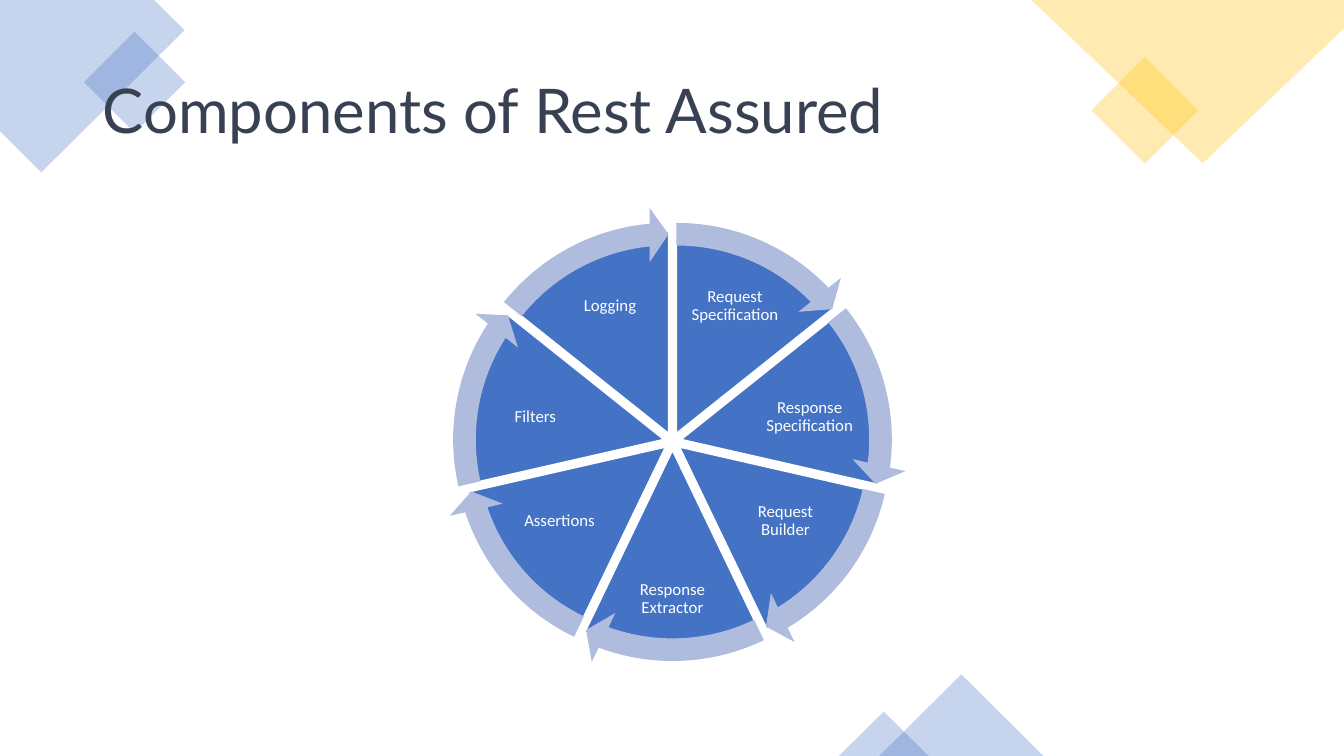
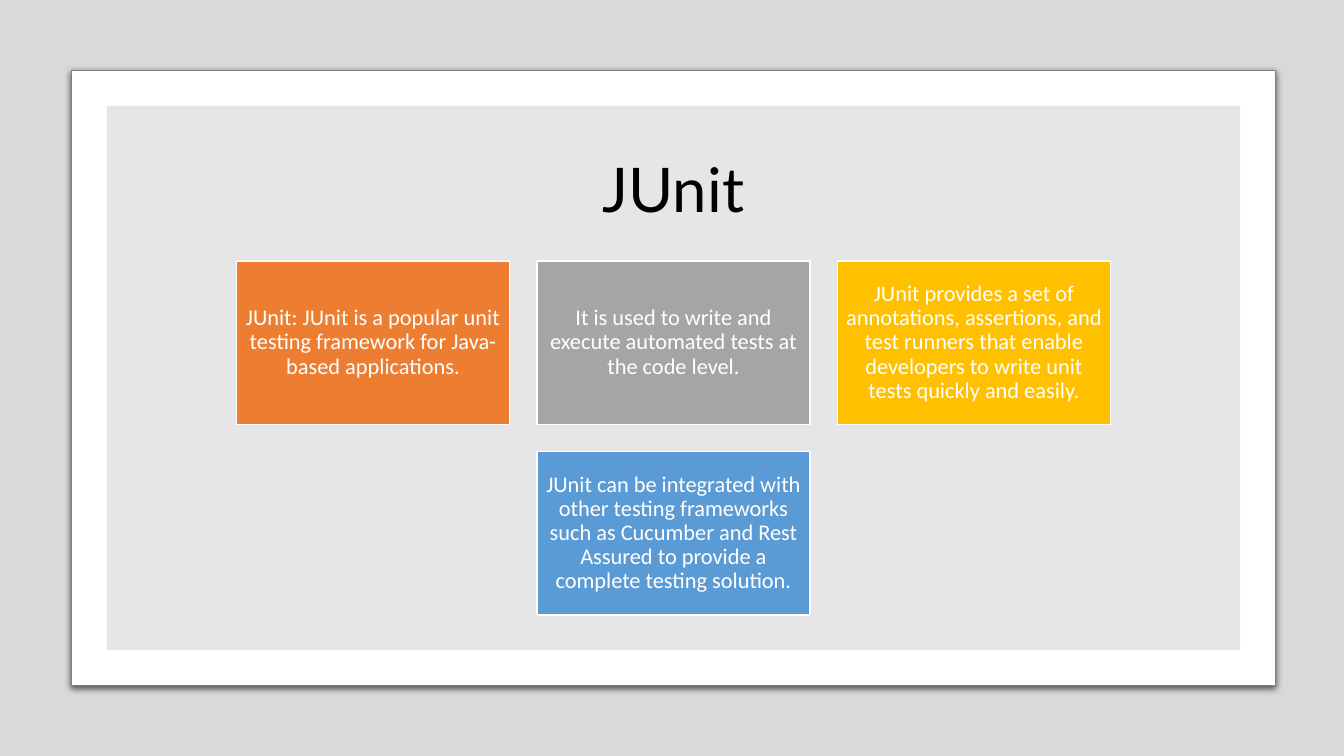
from math import cos, radians, sin

from lxml import etree
from pptx import Presentation
from pptx import util as u
from pptx.dml.color import RGBColor
from pptx.enum import shapes, text
from pptx.oxml import ns

SHAPE = shapes.MSO_SHAPE
ALIGN = text.PP_ALIGN

WHITE = RGBColor(0xFF, 0xFF, 0xFF)
BLACK = RGBColor(0x00, 0x00, 0x00)
SLATE = RGBColor(0x37, 0x41, 0x51)
BLUE = RGBColor(0x44, 0x72, 0xC4)
PALE_BLUE = RGBColor(0xB0, 0xBC, 0xDE)
SKY = RGBColor(0x5B, 0x9B, 0xD5)
GOLD = RGBColor(0xFF, 0xC0, 0x00)
ORANGE = RGBColor(0xED, 0x7D, 0x31)
GRAY = RGBColor(0xA5, 0xA5, 0xA5)
LIGHT_GRAY = RGBColor(0xE7, 0xE6, 0xE6)
EDGE_GRAY = RGBColor(0x80, 0x80, 0x80)

TITLE_FONT = "Lato"
BODY_FONT = "Calibri"
TITLE_SIZE = 44
ANGLE_UNIT = 0.6
FULL_TURN = 360 * ANGLE_UNIT


class Deck:
    def __init__(self):
        self.prs = Presentation()
        self.prs.slide_width = u.Inches(13.33)
        self.prs.slide_height = u.Inches(7.5)
        self.slide = None

    def new_slide(self):
        self.slide = self.prs.slides.add_slide(self.prs.slide_layouts[6])

    def paint(self, shape, fill, opacity=100, line=None, line_width=1):
        shape.shadow.inherit = False
        shape.fill.solid()
        shape.fill.fore_color.rgb = fill
        if opacity < 100:
            color = shape._element.spPr.find(ns.qn("a:solidFill"))[0]
            etree.SubElement(color, ns.qn("a:alpha"), val=str(opacity * 1000))
        if line is None:
            shape.line.fill.background()
        else:
            shape.line.color.rgb = line
            shape.line.width = u.Pt(line_width)
        return shape

    def block(self, kind, box, fill, adjustments=(), rotation=0, **style):
        shape = self.slide.shapes.add_shape(kind, *map(u.Inches, box))
        for i, value in enumerate(adjustments):
            shape.adjustments[i] = value
        shape.rotation = rotation
        return self.paint(shape, fill, **style)

    def polygon(self, points, fill, **style):
        start, *rest = [(u.Inches(x), u.Inches(y)) for x, y in points]
        builder = self.slide.shapes.build_freeform(*start)
        builder.add_line_segments(rest, close=True)
        return self.paint(builder.convert_to_shape(), fill, **style)

    def set_text(self, shape, words, size, color=WHITE, font=BODY_FONT,
                 align=ALIGN.CENTER, inset=None):
        frame = shape.text_frame
        frame.word_wrap = True
        frame.vertical_anchor = text.MSO_ANCHOR.MIDDLE
        if inset is not None:
            frame.margin_left = frame.margin_right = u.Inches(inset)
            frame.margin_top = frame.margin_bottom = u.Inches(inset)
        paragraph = frame.paragraphs[0]
        paragraph.text = words
        paragraph.alignment = align
        paragraph.line_spacing = 0.9
        paragraph.font.size = u.Pt(size)
        paragraph.font.name = font
        paragraph.font.color.rgb = color

    def label(self, box, words, size, **style):
        textbox = self.slide.shapes.add_textbox(*map(u.Inches, box))
        self.set_text(textbox, words, size, **style)

    def title(self, box, words, color, align):
        self.label(box, words, TITLE_SIZE, color=color, font=TITLE_FONT, align=align)

    def soft_shadow(self, shape):
        effects = shape._element.spPr.find(ns.qn("a:effectLst"))
        shadow = etree.SubElement(
            effects, ns.qn("a:outerShdw"), blurRad=str(u.Pt(4.5)),
            dist=str(u.Pt(1.5)), dir="5400000", algn="t", rotWithShape="0")
        color = etree.SubElement(shadow, ns.qn("a:srgbClr"), val=str(BLACK))
        etree.SubElement(color, ns.qn("a:alpha"), val="63000")


def corner_decor(deck):
    deck.polygon([(1.53, 0), (0, 0), (0, 1.3), (0.41, 1.71), (1.83, 0.3)],
                 BLUE, opacity=30)
    deck.block(SHAPE.RECTANGLE, (0.98, 0.46, 0.71, 0.71), BLUE,
               rotation=315, opacity=30)
    deck.block(SHAPE.RECTANGLE, (10.98, 0.72, 0.75, 0.75), GOLD,
               rotation=315, opacity=30)
    deck.polygon([(13.33, 0), (10.23, 0), (11.93, 1.62), (13.33, 0.28)],
                 GOLD, opacity=30)
    for peak in ((8.72, 6.69, 1.63, 0.81), (8.32, 7.06, 0.89, 0.44)):
        deck.block(SHAPE.ISOSCELES_TRIANGLE, peak, BLUE, opacity=30)


def components_slide(deck):
    deck.new_slide()
    corner_decor(deck)
    deck.title((0.92, 0.4, 11.5, 1.45), "Components of Rest Assured",
               SLATE, ALIGN.LEFT)

    center_x, center_y, spread = 6.67, 4.38, 0.09
    wedge_size, arrow_size = 4, 4.49
    head_angle = 3.28
    components = [
        ("Request Specification", 0.62, 2.66, 0.95, 0.76),
        ("Response Specification", 1.36, 3.8, 1.09, 0.67),
        ("Request Builder", 1.12, 4.8, 0.95, 0.74),
        ("Response Extractor", 0, 5.61, 0.93, 0.67),
        ("Assertions", -1.12, 4.8, 0.95, 0.74),
        ("Filters", -1.36, 3.8, 1.09, 0.67),
        ("Logging", -0.62, 2.66, 0.95, 0.76),
    ]
    step = 360 / len(components)

    def ring_box(i, size):
        middle = radians(-90 + (i + 0.5) * step)
        return (center_x + spread * cos(middle) - size / 2,
                center_y + spread * sin(middle) - size / 2, size, size)

    def turn(i):
        return (270 + i * step) * ANGLE_UNIT % FULL_TURN

    for i, (name, offset, top, width, height) in enumerate(components):
        deck.block(SHAPE.PIE, ring_box(i, wedge_size), BLUE,
                   (turn(i), turn(i + 1)), line=WHITE)
        deck.label((center_x + offset - width / 2, top, width, height),
                   name, 12, inset=0.02)

    for i in range(len(components)):
        arrow_end = (turn(i + 1) - head_angle) % FULL_TURN
        deck.block(SHAPE.CIRCULAR_ARROW, ring_box(i, arrow_size), PALE_BLUE,
                   (0.05, head_angle, arrow_end, turn(i), 0.06))


def junit_slide(deck):
    deck.new_slide()
    deck.block(SHAPE.RECTANGLE, (0, 0, 13.33, 7.5), BLACK, opacity=15)
    frame = deck.block(SHAPE.ROUNDED_RECTANGLE, (0.71, 0.7, 11.94, 6.1), WHITE,
                       (0,), line=EDGE_GRAY, line_width=0.75)
    deck.soft_shadow(frame)
    deck.block(SHAPE.RECTANGLE, (1.06, 1.05, 11.24, 5.4), LIGHT_GRAY)
    deck.title((1.41, 1.4, 10.54, 1.02), "JUnit", BLACK, ALIGN.CENTER)

    width, height, gap = 2.71, 1.62, 0.27
    center_x, top = 6.68, 2.59
    rows = [
        [(ORANGE, "JUnit: JUnit is a popular unit testing framework for "
                  "Java-based applications."),
         (GRAY, "It is used to write and execute automated tests at the "
                "code level."),
         (GOLD, "JUnit provides a set of annotations, assertions, and test "
                "runners that enable developers to write unit tests quickly "
                "and easily.")],
        [(SKY, "JUnit can be integrated with other testing frameworks such "
               "as Cucumber and Rest Assured to provide a complete testing "
               "solution.")],
    ]
    for r, row in enumerate(rows):
        left = center_x - (len(row) * (width + gap) - gap) / 2
        for c, (fill, fact) in enumerate(row):
            card = deck.block(
                SHAPE.RECTANGLE,
                (left + c * (width + gap), top + r * (height + gap), width, height),
                fill, line=WHITE)
            deck.set_text(card, fact, 16, inset=0.07)


def main():
    deck = Deck()
    components_slide(deck)
    junit_slide(deck)
    deck.prs.save("out.pptx")


if __name__ == "__main__":
    main()
